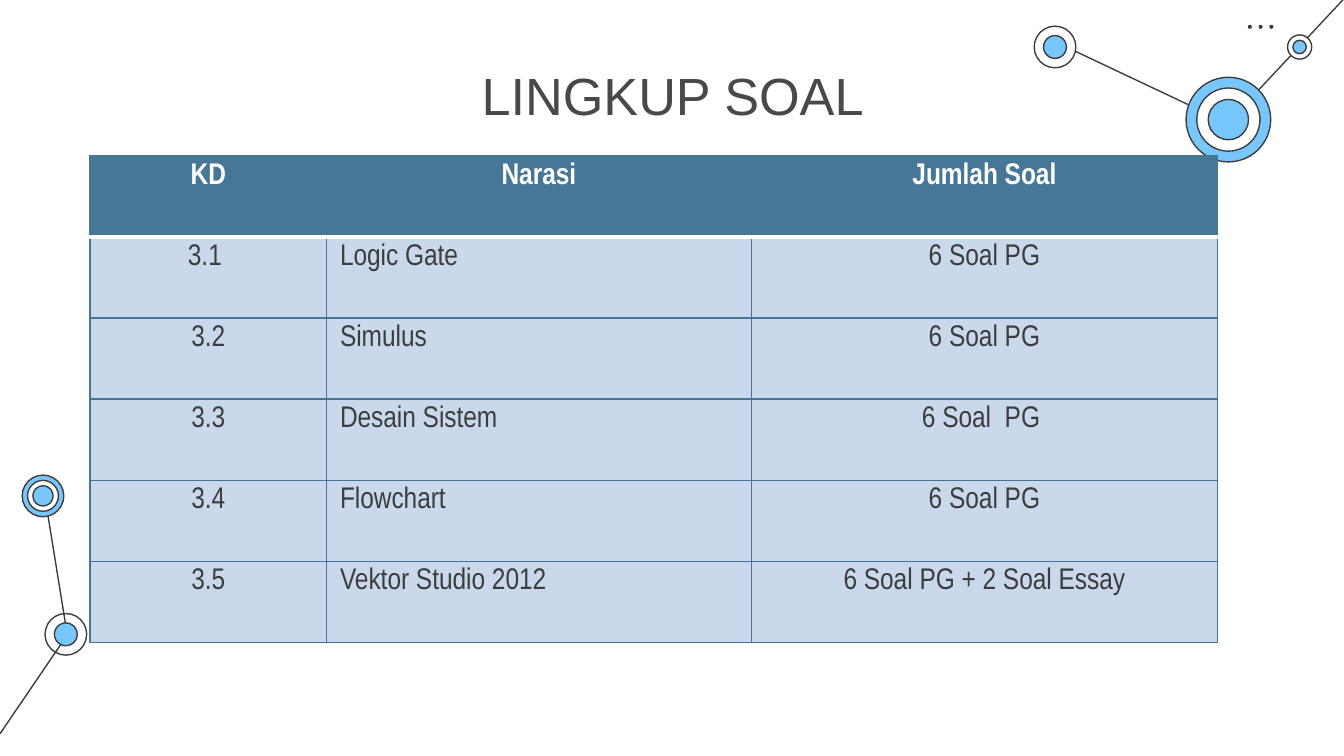
from lxml import etree
from pptx import Presentation
from pptx.dml.color import RGBColor
from pptx.enum.shapes import MSO_CONNECTOR, MSO_SHAPE
from pptx.enum.text import MSO_ANCHOR, PP_ALIGN
from pptx.oxml.ns import qn
from pptx.util import Inches, Pt

DARK = RGBColor(0x3D, 0x3D, 0x3D)
TITLE_GRAY = RGBColor(0x49, 0x49, 0x49)
SKY = RGBColor(0x77, 0xC6, 0xFC)
WHITE = RGBColor(0xFF, 0xFF, 0xFF)
HEADER_BLUE = RGBColor(0x47, 0x77, 0x97)
BORDER_BLUE = RGBColor(0x43, 0x75, 0x96)
BODY_BLUE = RGBColor(0xC9, 0xD9, 0xEB)

THIN = 0.75

LINKS = [
    ((0.5, 4.72), (0.33, 3.67)),
    ((0, 5.46), (0.49, 4.74)),
    ((9.14, 0.92), (7.87, 0.32)),
    ((10, -0.01), (9.14, 0.91)),
]

# Centre of each node, then diameter and fill of its rings from outside in.
NODES = [
    (0.49, 4.72, [(0.31, None), (0.17, SKY)]),
    (0.32, 3.69, [(0.31, SKY), (0.23, WHITE), (0.15, SKY)]),
    (9.14, 0.89, [(0.63, SKY), (0.47, WHITE), (0.3, SKY)]),
    (7.85, 0.35, [(0.31, WHITE), (0.17, SKY)]),
    (9.67, 0.35, [(0.18, WHITE), (0.1, SKY)]),
]

COLUMN_WIDTHS = [1.76, 3.16, 3.47]
ROWS = [
    ("KD", "Narasi", "Jumlah Soal"),
    ("3.1 ", "Logic Gate", "6 Soal PG"),
    ("3.2", "Simulus", "6 Soal PG"),
    ("3.3", "Desain Sistem", "6 Soal  PG "),
    ("3.4", "Flowchart", "6 Soal PG"),
    ("3.5", "Vektor Studio 2012", "6 Soal PG + 2 Soal Essay"),
]


class SlideBuilder:
    def __init__(self, page):
        self.page = page
        self.title_font = "Arial"
        self.table_font = "Arial Narrow"

    def link(self, start, end):
        points = [Inches(value) for value in (*start, *end)]
        line = self.page.shapes.add_connector(MSO_CONNECTOR.STRAIGHT, *points)
        line.line.color.rgb = DARK
        line.line.width = Pt(THIN)
        etree.SubElement(line._element.spPr, qn("a:effectLst"))

    def circle(self, x, y, diameter, fill, outlined=True):
        """Draw a circle around the centre x, y; a fill of None leaves it open."""
        left, top = x - diameter / 2, y - diameter / 2
        circle = self.page.shapes.add_shape(
            MSO_SHAPE.OVAL, Inches(left), Inches(top), Inches(diameter), Inches(diameter))
        circle.shadow.inherit = False
        if fill is None:
            circle.fill.background()
        else:
            circle.fill.solid()
            circle.fill.fore_color.rgb = fill
        if outlined:
            circle.line.color.rgb = DARK
            circle.line.width = Pt(THIN)
        else:
            circle.line.fill.background()

    def node(self, x, y, rings):
        for diameter, fill in rings:
            self.circle(x, y, diameter, fill)

    def title(self, text, left, top, width, height):
        box = self.page.shapes.add_textbox(
            Inches(left), Inches(top), Inches(width), Inches(height))
        frame = box.text_frame
        frame.word_wrap = True
        frame.vertical_anchor = MSO_ANCHOR.MIDDLE
        frame.margin_left = frame.margin_right = Inches(0.1)
        frame.margin_top = frame.margin_bottom = Inches(0.1)
        para = frame.paragraphs[0]
        para.text = text
        para.alignment = PP_ALIGN.CENTER
        para.line_spacing = 1.08
        para.font.size = Pt(28)
        para.font.name = self.title_font
        para.font.color.rgb = TITLE_GRAY

    def border(self, cell, side, color, width):
        line = etree.SubElement(
            cell._tc.get_or_add_tcPr(), qn(f"a:ln{side}"), w=str(Pt(width)))
        fill = etree.SubElement(line, qn("a:solidFill"))
        etree.SubElement(fill, qn("a:srgbClr"), val=str(color))

    def cell(self, cell, text, row, column):
        header = row == 0
        header_edge = {0: "B", 1: "T"}.get(row)
        for side in "LRTB":
            if side == header_edge:
                self.border(cell, side, WHITE, 2)
            else:
                self.border(cell, side, BORDER_BLUE, THIN)
        cell.fill.solid()
        cell.fill.fore_color.rgb = HEADER_BLUE if header else BODY_BLUE
        para = cell.text_frame.paragraphs[0]
        para.text = text
        left_aligned = column == 1 and not header
        para.alignment = PP_ALIGN.LEFT if left_aligned else PP_ALIGN.CENTER
        para.font.size = Pt(16)
        para.font.name = self.table_font
        para.font.bold = header
        para.font.color.rgb = WHITE if header else DARK

    def table(self, rows, widths, left, top, height):
        frame = self.page.shapes.add_table(
            len(rows), len(widths), Inches(left), Inches(top),
            Inches(sum(widths)), Inches(height))
        table = frame.table
        for column, width in zip(table.columns, widths):
            column.width = Inches(width)
        for row, texts in enumerate(rows):
            for column, text in enumerate(texts):
                self.cell(table.cell(row, column), text, row, column)


def main():
    deck = Presentation()
    deck.slide_width = Inches(10)
    deck.slide_height = deck.slide_width * 9 // 16
    builder = SlideBuilder(deck.slides.add_slide(deck.slide_layouts[6]))

    for start, end in LINKS:
        builder.link(start, end)
    for x, y, rings in NODES:
        builder.node(x, y, rings)
    for index in range(3):
        builder.circle(9.3 + index * 0.08, 0.2, 0.03, DARK, outlined=False)

    builder.title("LINGKUP SOAL", 2.77, 0.37, 4.47, 0.63)
    builder.table(ROWS, COLUMN_WIDTHS, 0.67, 1.16, 3.62)
    deck.save("out.pptx")


if __name__ == "__main__":
    main()
